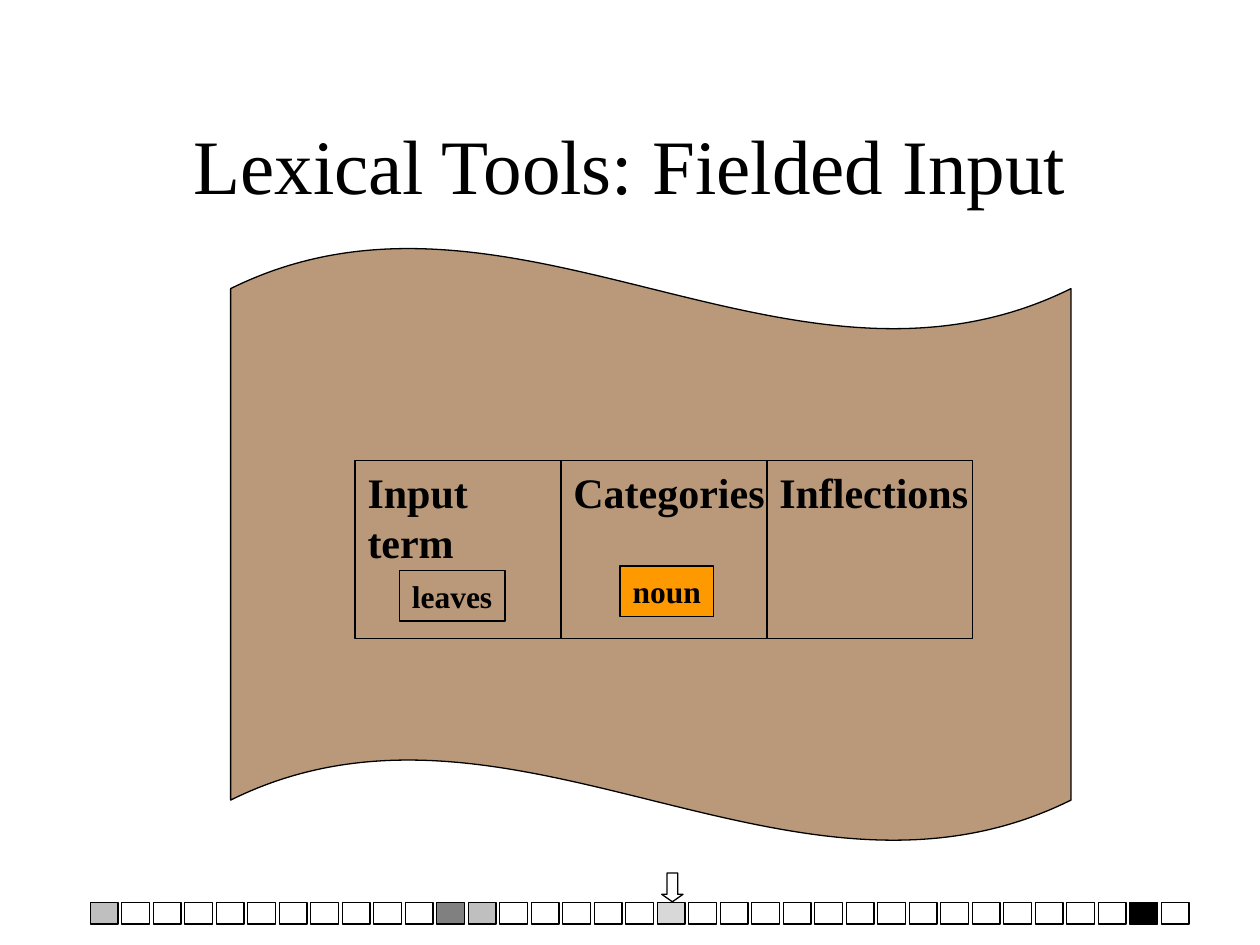
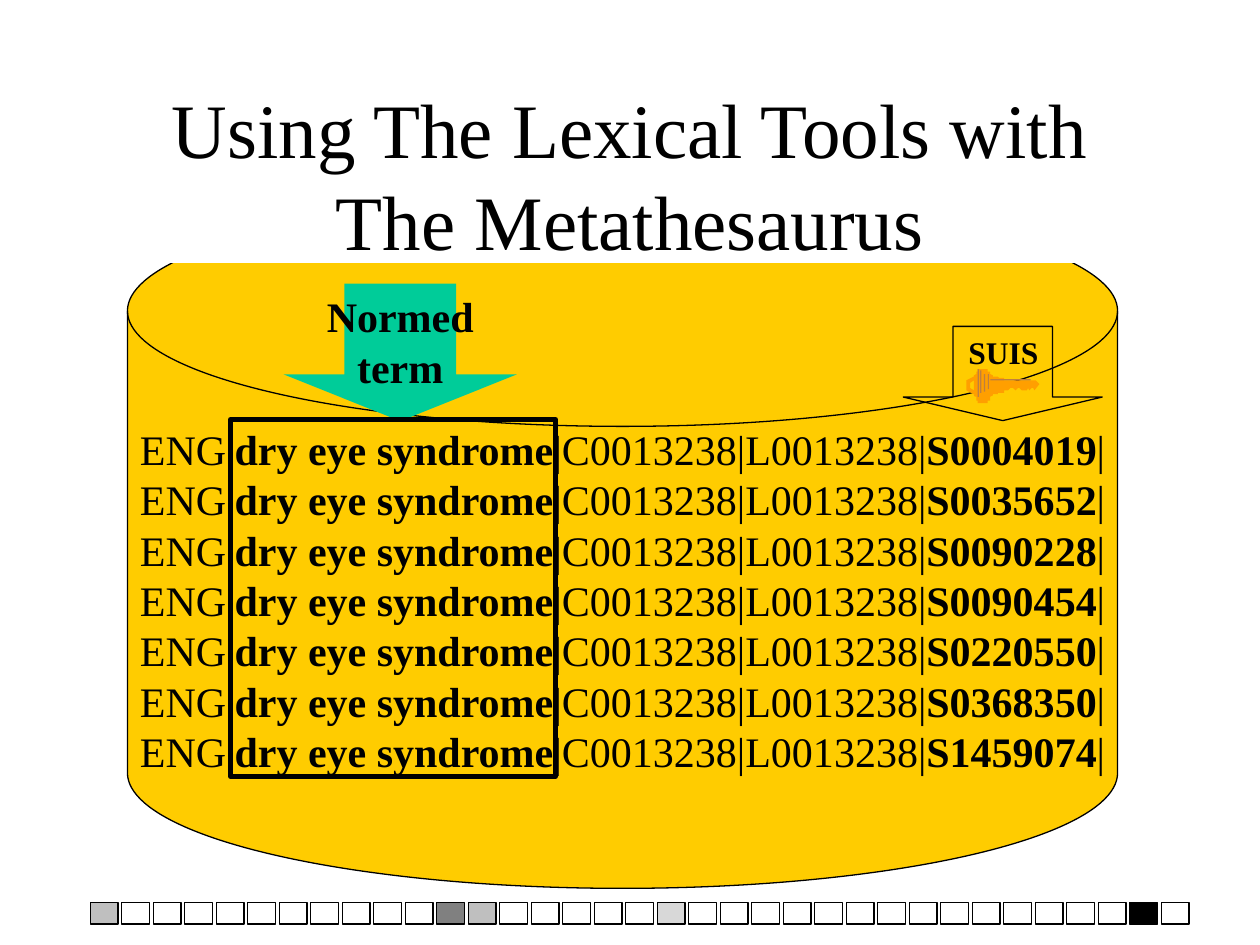
import dataclasses

import lxml.etree
import pptx
import pptx.dml.color
import pptx.enum.shapes
import pptx.enum.text
import pptx.oxml.ns
import pptx.util

Cm = pptx.util.Cm
Pt = pptx.util.Pt
Shape = pptx.enum.shapes.MSO_SHAPE
Align = pptx.enum.text.PP_ALIGN
Anchor = pptx.enum.text.MSO_ANCHOR


@dataclasses.dataclass(frozen=True)
class Theme:
    font: str = "Times New Roman"
    title_size: int = 44
    text_size: int = 24
    label_size: int = 18
    line_width: float = 0.75
    frame_width: float = 3
    black: str = "000000"
    white: str = "FFFFFF"
    grey: str = "808080"
    light_grey: str = "B2B2B2"
    tan: str = "B99979"
    orange: str = "FF9900"
    yellow: str = "FFCC00"
    green: str = "00CC99"
    key_gold: str = "FF9F00"
    key_groove: str = "BF7F3F"


THEME = Theme()

# Progress strip: cell index -> fill colour and opacity in percent
STRIP_CELLS = 35
STRIP_LEFT, STRIP_TOP, STRIP_PITCH = 1.82, 18.2, 0.635
STRIP_FILLS = {
    0: (THEME.grey, 50),
    11: (THEME.grey, 100),
    12: (THEME.grey, 50),
    18: (THEME.light_grey, 50),
    33: (THEME.black, 100),
}

STRING_IDS = ["S0004019", "S0035652", "S0090228", "S0090454",
              "S0220550", "S0368350", "S1459074"]

# Key outline and grooves, in steps of KEY_STEP cm from the key's corner
KEY_LEFT, KEY_TOP, KEY_STEP = 19.48, 7.44, 0.0254
KEY_OUTLINE = [
    (0, 17), (0, 9), (3, 11), (3, 15), (6, 17), (6, 9), (3, 11), (0, 9),
    (6, 6), (6, 5), (8, 4), (8, 2), (9, 2), (9, 0), (17, 0), (17, 2),
    (19, 2), (19, 4), (21, 5), (21, 6), (25, 6), (26, 7), (30, 7), (30, 9),
    (55, 9), (58, 12), (54, 17), (53, 15), (52, 15), (50, 17), (49, 15),
    (48, 17), (44, 17), (42, 15), (41, 15), (39, 17), (37, 15), (35, 15),
    (33, 17), (30, 17), (30, 19), (25, 19), (25, 20), (21, 20), (21, 21),
    (19, 22), (19, 25), (17, 25), (17, 27), (9, 27), (9, 25), (8, 25),
    (8, 22), (7, 22), (6, 21), (6, 20),
]
KEY_GROOVES = [(9, 0, 1, 22), (11, 1, 1, 18), (14, 4, 1, 14),
               (17, 4, 1, 12), (19, 8, 32, 1)]


def rgb(colour):
    return pptx.dml.color.RGBColor.from_string(colour)


def style_shape(shape, fill=None, opacity=100, line=THEME.black,
                width=THEME.line_width):
    """Give a shape its fill and outline; None leaves either out."""
    shape.shadow.inherit = False
    if fill:
        shape.fill.solid()
        shape.fill.fore_color.rgb = rgb(fill)
        if opacity < 100:
            colour = shape.element.find(".//" + pptx.oxml.ns.qn("a:srgbClr"))
            lxml.etree.SubElement(colour, pptx.oxml.ns.qn("a:alpha"),
                                  val=str(opacity * 1000))
    else:
        shape.fill.background()
    if line:
        shape.line.color.rgb = rgb(line)
        shape.line.width = Pt(width)
    else:
        shape.line.fill.background()


def add_box(shapes, kind, place, adjust=(), **style):
    """Add a preset shape; place is left, top, width, height in cm."""
    box = shapes.add_shape(kind, *[Cm(length) for length in place])
    for index, value in enumerate(adjust):
        box.adjustments[index] = value
    style_shape(box, **style)
    return box


def write_text(box, paras, size, bold=True, align=Align.CENTER,
               anchor=Anchor.MIDDLE, wrap=False):
    """Fill a box; a para given as a list alternates plain and bold spans."""
    frame = box.text_frame
    frame.word_wrap = wrap
    frame.auto_size = pptx.enum.text.MSO_AUTO_SIZE.NONE
    frame.vertical_anchor = anchor
    for index, content in enumerate(paras):
        para = frame.paragraphs[0] if index == 0 else frame.add_paragraph()
        para.alignment = align
        para.font.name = THEME.font
        para.font.size = Pt(size)
        para.font.color.rgb = rgb(THEME.black)
        if isinstance(content, str):
            para.font.bold = bold
            para.add_run().text = content
            continue
        for position, words in enumerate(content):
            span = para.add_run()
            span.text = words
            span.font.bold = position % 2 == 1


def add_page(deck, layout, title, height):
    page = deck.slides.add_slide(layout)
    heading = page.shapes.title
    heading.left, heading.top = Cm(1.9), Cm(1.7)
    heading.width, heading.height = Cm(21.6), Cm(height)
    write_text(heading, [title], THEME.title_size, bold=False, wrap=True)
    return page


def add_progress_strip(page, layout):
    """Draw the strip of cells and move it to the shared layout."""
    for index in range(STRIP_CELLS):
        fill, opacity = STRIP_FILLS.get(index, (None, 100))
        left = STRIP_LEFT + index * STRIP_PITCH
        cell = add_box(page.shapes, Shape.RECTANGLE,
                       (left, STRIP_TOP, 0.56, 0.43),
                       fill=fill, opacity=opacity)
        layout.shapes.element.append(cell.element)


def add_key(page):
    shapes = page.shapes.add_group_shape().shapes
    builder = shapes.build_freeform(*KEY_OUTLINE[0], scale=Cm(KEY_STEP))
    builder.add_line_segments(KEY_OUTLINE[1:], close=True)
    outline = builder.convert_to_shape(Cm(KEY_LEFT), Cm(KEY_TOP))
    style_shape(outline, fill=THEME.key_gold, line=None)
    for left, top, width, height in KEY_GROOVES:
        place = (KEY_LEFT + left * KEY_STEP, KEY_TOP + top * KEY_STEP,
                 width * KEY_STEP, height * KEY_STEP)
        add_box(shapes, Shape.RECTANGLE, place,
                fill=THEME.key_groove, line=None)


def fill_fielded_input(page):
    shapes = page.shapes
    add_box(shapes, Shape.WAVE, (4.65, 4.98, 16.94, 11.99), adjust=[0.07],
            fill=THEME.tan)

    # Three equal fields
    fields = [(["Input", "term"], None), (["Categories"], None),
              (["Inflections"], THEME.tan)]
    for index, (heading, fill) in enumerate(fields):
        field = add_box(shapes, Shape.RECTANGLE,
                        (7.16 + index * 4.15, 9.28, 4.15, 3.6),
                        fill=fill, opacity=50)
        write_text(field, heading, THEME.text_size, align=Align.LEFT,
                   anchor=Anchor.TOP)

    # Field values
    for value, place, fill in [
        ("leaves", (8.05, 11.5, 2.13, 1.02), None),
        ("noun", (12.5, 11.41, 1.88, 1.02), THEME.orange),
    ]:
        box = add_box(shapes, Shape.RECTANGLE, place, fill=fill)
        write_text(box, [value], THEME.label_size)

    # Marker above the current strip cell
    add_box(shapes, Shape.DOWN_ARROW, (13.34, 17.6, 0.43, 0.58),
            adjust=[0.5, 0.35])


def fill_metathesaurus(page):
    shapes = page.shapes

    # Data store with its rows
    store = add_box(shapes, Shape.FLOWCHART_MAGNETIC_DISK,
                    (2.57, 3.94, 19.96, 13.97), fill=THEME.yellow)
    rows = [["ENG|", "dry eye syndrome", "|C0013238|L0013238|", string_id, "|"]
            for string_id in STRING_IDS]
    write_text(store, rows, THEME.text_size)

    # Normed term column
    arrow = add_box(shapes, Shape.DOWN_ARROW, (5.72, 5.72, 4.7, 2.77),
                    adjust=[0.48, 0.34], fill=THEME.green, line=None)
    write_text(arrow, ["Normed", "term"], THEME.text_size)
    add_box(shapes, Shape.RECTANGLE, (4.65, 8.46, 6.55, 7.19),
            width=THEME.frame_width)

    # String identifier column
    add_box(shapes, Shape.DOWN_ARROW, (18.21, 6.58, 4.01, 1.9),
            adjust=[0.5, 0.25])
    label = shapes.add_textbox(Cm(19.28), Cm(6.58), Cm(1.9), Cm(1.02))
    write_text(label, ["SUIS"], THEME.label_size)
    add_key(page)

    # The white title covers the top of the data store
    heading = shapes.title
    heading.fill.solid()
    heading.fill.fore_color.rgb = rgb(THEME.white)
    shapes.element.append(heading.element)


def main():
    deck = pptx.Presentation()
    deck.slide_width, deck.slide_height = Cm(25.4), Cm(19.05)
    layout = deck.slide_layouts.get_by_name("Title Only")

    page = add_page(deck, layout, "Lexical Tools: Fielded Input", 3.18)
    add_progress_strip(page, layout)
    fill_fielded_input(page)

    page = add_page(deck, layout,
                    "Using The Lexical Tools with The Metathesaurus", 3.6)
    fill_metathesaurus(page)

    deck.save("out.pptx")


if __name__ == "__main__":
    main()
